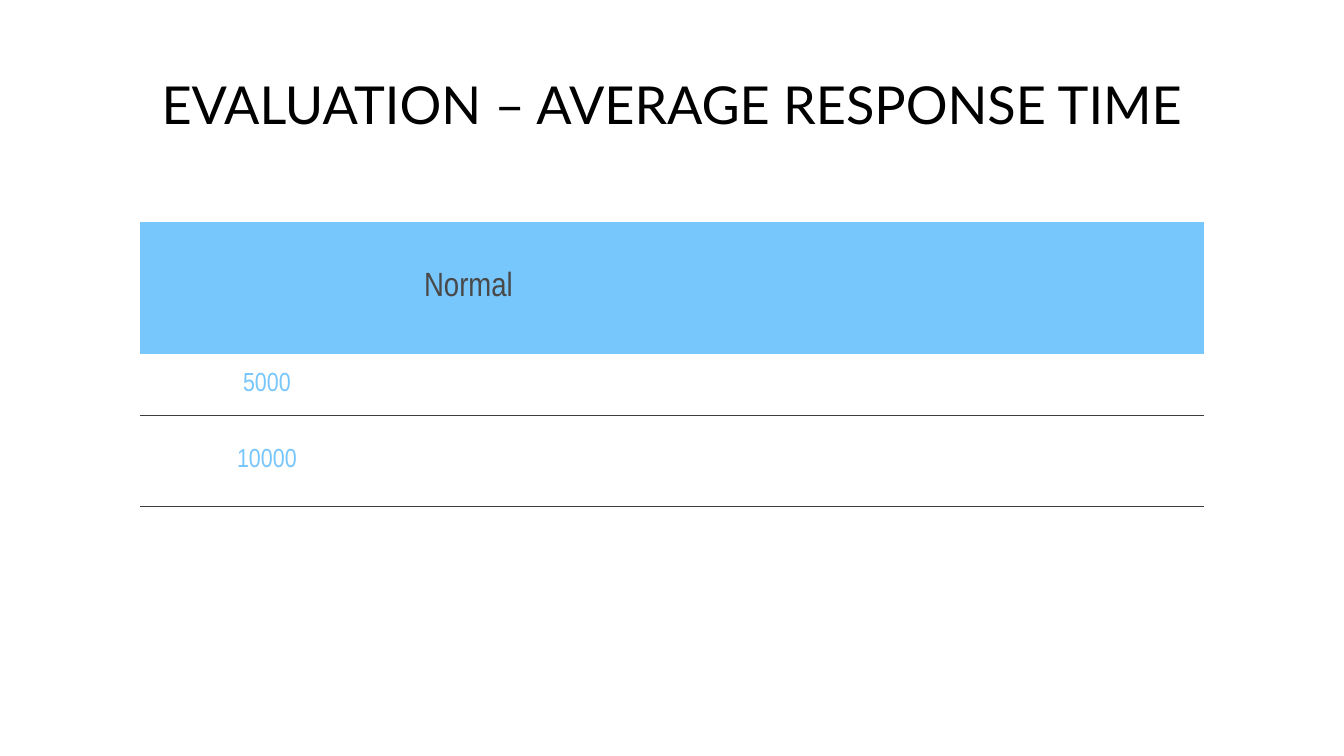
"""Build the slide showing the average response time table."""
import pptx
import pptx.dml.color
import pptx.enum.text
import pptx.oxml
import pptx.oxml.ns
import pptx.util

Pt = pptx.util.Pt
RGBColor = pptx.dml.color.RGBColor
PP_ALIGN = pptx.enum.text.PP_ALIGN
MSO_ANCHOR = pptx.enum.text.MSO_ANCHOR

BLACK = RGBColor(0x00, 0x00, 0x00)
WHITE = RGBColor(0xFF, 0xFF, 0xFF)
SKY = RGBColor(0x77, 0xC6, 0xFC)
GREY = RGBColor(0x49, 0x49, 0x49)
RULE = RGBColor(0x3D, 0x3D, 0x3D)

TITLE = "EVALUATION – AVERAGE RESPONSE TIME"
COLUMN_WIDTHS = [136, 80, 69, 95, 95, 95]
HEADER_FONT = {"name": "Arial Narrow", "size": Pt(18), "bold": False}
BODY_FONT = {"name": "Arial Narrow", "size": Pt(14), "bold": False}
ROWS = [
    {"height": 70, "texts": {1: "Normal"}, "font": HEADER_FONT, "color": GREY,
     "fill": SKY, "top": SKY, "bottom": SKY},
    {"height": 33, "texts": {0: "5000"}, "font": BODY_FONT, "color": SKY,
     "fill": None, "top": SKY, "bottom": RULE},
    {"height": 49, "texts": {0: "10000"}, "font": BODY_FONT, "color": SKY,
     "fill": WHITE, "top": RULE, "bottom": RULE},
]
LEFT = 75
TABLE_TOP = 119.5
TITLE_FONT = {"name": "Lato", "size": Pt(28), "bold": False}
TITLE_PLACE = {"left": Pt(LEFT), "top": Pt(34), "width": Pt(569.5), "height": Pt(43)}
CELL_MARGINS = {"margin_left": Pt(7.2), "margin_right": Pt(7.2),
                "margin_top": Pt(7.2), "margin_bottom": Pt(7.2)}


def set_values(target, values):
    for name, value in values.items():
        setattr(target, name, value)


def write(frame, text, font, color):
    para = frame.paragraphs[0]
    para.alignment = PP_ALIGN.CENTER
    span = para.add_run()
    span.text = text
    set_values(span.font, font)
    span.font.color.rgb = color


def add_borders(cell, top, bottom):
    properties = cell._tc.get_or_add_tcPr()
    sides = {"lnL": None, "lnR": None, "lnT": top, "lnB": bottom}
    for side, color in sides.items():
        paint = ("<a:noFill/>" if color is None else
                 f'<a:solidFill><a:srgbClr val="{color}"/></a:solidFill>')
        properties.append(pptx.oxml.parse_xml(
            f'<a:{side} {pptx.oxml.ns.nsdecls("a")} w="{Pt(0.75)}">{paint}</a:{side}>'))


def add_title(page):
    box = page.shapes.title
    set_values(box, TITLE_PLACE)
    set_values(box.text_frame, {"word_wrap": True, "vertical_anchor": MSO_ANCHOR.MIDDLE,
                                "auto_size": pptx.enum.text.MSO_AUTO_SIZE.NONE})
    write(box.text_frame, TITLE, TITLE_FONT, BLACK)


def add_times(page):
    height = sum(row["height"] for row in ROWS)
    table = page.shapes.add_table(
        len(ROWS), len(COLUMN_WIDTHS), Pt(LEFT), Pt(TABLE_TOP),
        Pt(sum(COLUMN_WIDTHS)), Pt(height)).table
    set_values(table, {"first_row": False, "horz_banding": False})
    for column, width in zip(table.columns, COLUMN_WIDTHS):
        column.width = Pt(width)
    for line, row in zip(table.rows, ROWS):
        line.height = Pt(row["height"])
        for index, cell in enumerate(line.cells):
            add_borders(cell, row["top"], row["bottom"])
            if row["fill"] is None:
                cell.fill.background()
            else:
                cell.fill.solid()
                cell.fill.fore_color.rgb = row["fill"]
            if index in row["texts"]:
                set_values(cell, CELL_MARGINS)
                cell.vertical_anchor = MSO_ANCHOR.MIDDLE
                write(cell.text_frame, row["texts"][index], row["font"], row["color"])


def main():
    deck = pptx.Presentation()
    set_values(deck, {"slide_width": Pt(720), "slide_height": Pt(405)})
    page = deck.slides.add_slide(deck.slide_layouts.get_by_name("Title Only"))
    add_title(page)
    add_times(page)
    deck.save("out.pptx")


if __name__ == "__main__":
    main()
